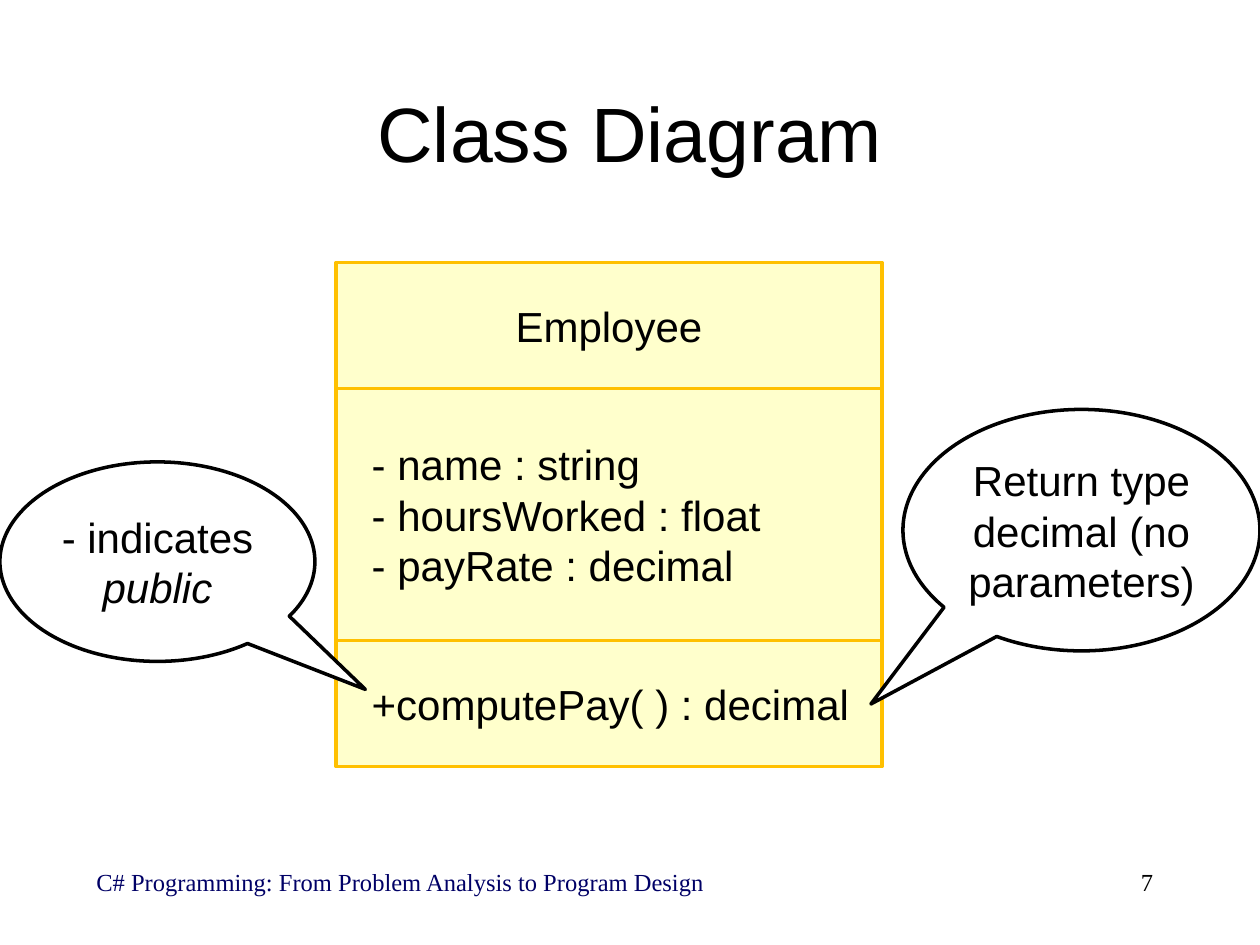
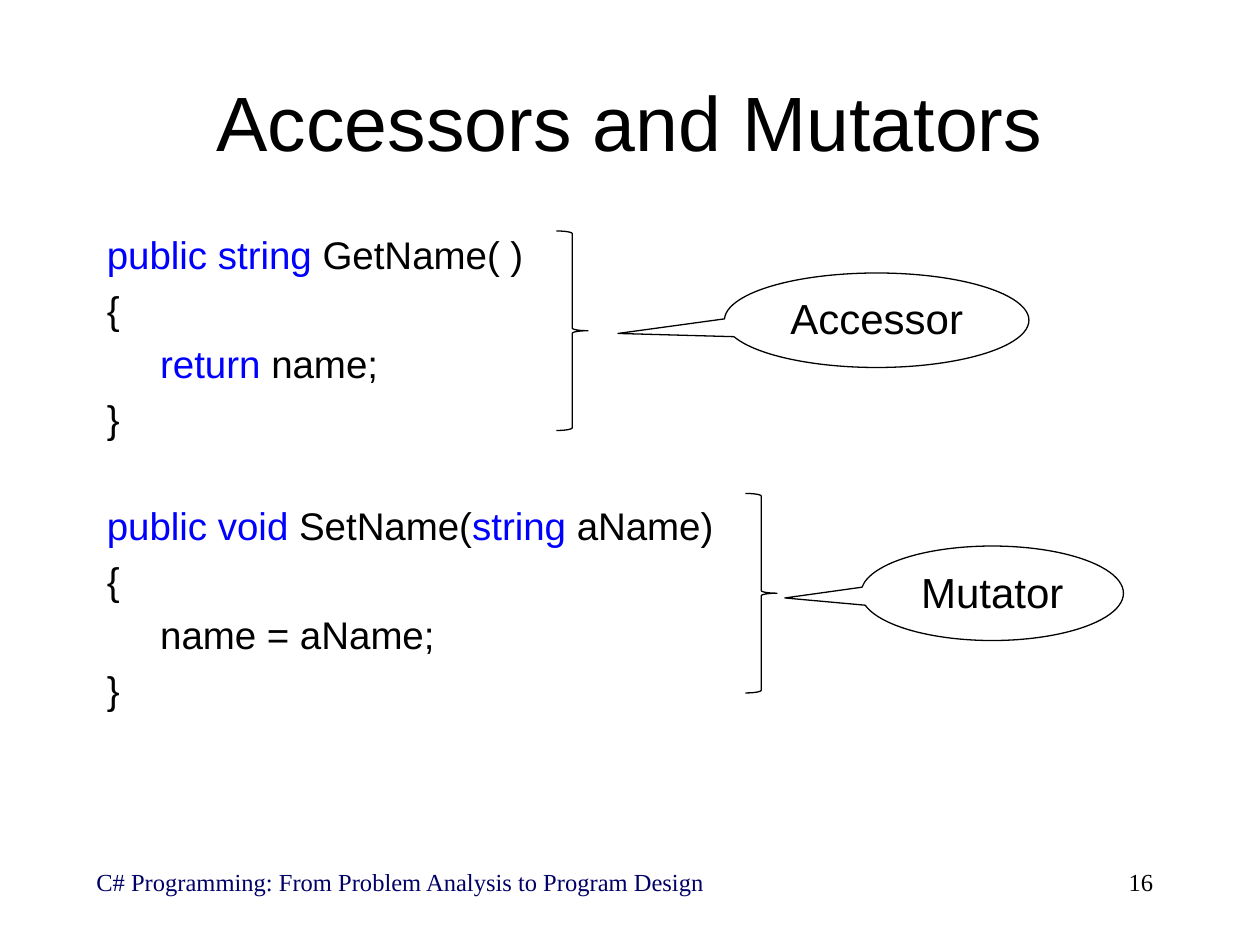
from pptx import Presentation
from pptx.dml.color import RGBColor
from pptx.enum.shapes import MSO_SHAPE as SHAPE
from pptx.enum.text import MSO_ANCHOR as ANCHOR, PP_ALIGN as ALIGN
from pptx.util import Emu, Pt

PX = 914400 // 120
BLACK = RGBColor(0x00, 0x00, 0x00)
WHITE = RGBColor(0xFF, 0xFF, 0xFF)
NAVY = RGBColor(0x00, 0x00, 0x66)
KEYWORD = RGBColor(0x00, 0x00, 0xFF)
CREAM = RGBColor(0xFF, 0xFF, 0xCC)
GOLD = RGBColor(0xFF, 0xC0, 0x00)


def add_text(shape, paragraphs, size=24, font="Arial", color=BLACK,
             align=ALIGN.LEFT, anchor=ANCHOR.TOP, spacing=None, before=0):
    """Each paragraph is a string or a list of runs: (text, color, italic)."""
    tf = shape.text_frame
    tf.word_wrap = True
    tf.vertical_anchor = anchor
    for i, runs in enumerate(paragraphs):
        p = tf.paragraphs[0] if i == 0 else tf.add_paragraph()
        p.alignment = align
        if spacing:
            p.line_spacing = spacing
        p.space_before = Pt(before if i else 0)
        for text, run_color, italic in [(runs, color, False)] if isinstance(runs, str) else runs:
            r = p.add_run()
            r.text = text
            r.font.size = Pt(size)
            r.font.name = font
            r.font.italic = italic
            r.font.color.rgb = run_color
    return tf


def add_shape(s, kind, box, line=BLACK, width=0.75, fill=None, adjust=()):
    sp = s.shapes.add_shape(kind, *[Emu(v * PX) for v in box])
    sp.shadow.inherit = False
    if fill is None:
        sp.fill.background()
    else:
        sp.fill.solid()
        sp.fill.fore_color.rgb = fill
    sp.line.color.rgb = line
    sp.line.width = Pt(width)
    for i, value in enumerate(adjust):
        sp.adjustments[i] = value
    return sp


prs = Presentation()
prs.slide_width = Emu(1200 * PX)
prs.slide_height = Emu(900 * PX)

# Title and footer of every slide
slides = []
for title, number, title_box in [
    ("Class Diagram", "7", (40, 50, 1120, 150)),
    ("Accessors and Mutators", "16", (90, 40, 1020, 150)),
]:
    s = prs.slides.add_slide(prs.slide_layouts[6])
    slides.append(s)
    for text, box, style in [
        ("C# Programming: From Problem Analysis to Program Design", (80, 820, 710, 60),
         dict(size=14, font="Times New Roman", color=NAVY)),
        (number, (860, 820, 250, 60),
         dict(size=14, font="Times New Roman", align=ALIGN.RIGHT)),
        (title, title_box, dict(size=44, align=ALIGN.CENTER, anchor=ANCHOR.MIDDLE)),
    ]:
        add_text(s.shapes.add_textbox(*[Emu(v * PX) for v in box]), [text], **style)
diagram, accessors = slides

# Class diagram: name, fields and method compartments stacked
top = 250
for lines, height, align in [
    (["Employee"], 120, ALIGN.CENTER),
    (["- name : string", "- hoursWorked : float", "- payRate : decimal"], 240, ALIGN.LEFT),
    (["+computePay( ) : decimal"], 120, ALIGN.LEFT),
]:
    sp = add_shape(diagram, SHAPE.RECTANGLE, (320, top, 520, height), GOLD, 2, CREAM)
    tf = add_text(sp, lines, align=align, anchor=ANCHOR.MIDDLE)
    if align == ALIGN.LEFT:
        tf.margin_left = Emu(34 * PX)
    top += height

for note, box, tip in [
    ([("- indicates ", BLACK, False), ("public", BLACK, True)],
     (0, 440, 300, 190), (0.66, 0.64)),
    ("Return type decimal (no parameters)", (860, 390, 340, 230), (-0.59, 0.72)),
]:
    sp = add_shape(diagram, SHAPE.OVAL_CALLOUT, box, BLACK, 2, WHITE, tip)
    add_text(sp, [note], align=ALIGN.CENTER, anchor=ANCHOR.MIDDLE)

# Accessor and mutator code
get_name = [
    [("public string ", KEYWORD, False), ("GetName( )", BLACK, False)],
    "{",
    [("     ", BLACK, False), ("return", KEYWORD, False), (" name;", BLACK, False)],
    "}",
]
set_name = [
    [("public void", KEYWORD, False), (" SetName(", BLACK, False),
     ("string", KEYWORD, False), (" aName)", BLACK, False)],
    "{",
    "     name = aName;",
    "}",
]
code_box = accessors.shapes.add_textbox(*[Emu(v * PX) for v in (90, 220, 1020, 540)])
tf = add_text(code_box, get_name + set_name, size=22, spacing=0.88, before=8)
tf.paragraphs[len(get_name)].space_before = Pt(38)

for label, box, tip, brace_left, brace_top in [
    ("Accessor", (690, 260, 290, 90), (-0.85, 0.14), 530, 220),
    ("Mutator", (820, 520, 250, 90), (-0.79, 0.05), 710, 470),
]:
    sp = add_shape(accessors, SHAPE.OVAL_CALLOUT, box, adjust=tip)
    add_text(sp, [label], align=ALIGN.CENTER)
    add_shape(accessors, SHAPE.RIGHT_BRACE, (brace_left, brace_top, 30, 190))

prs.save("out.pptx")
